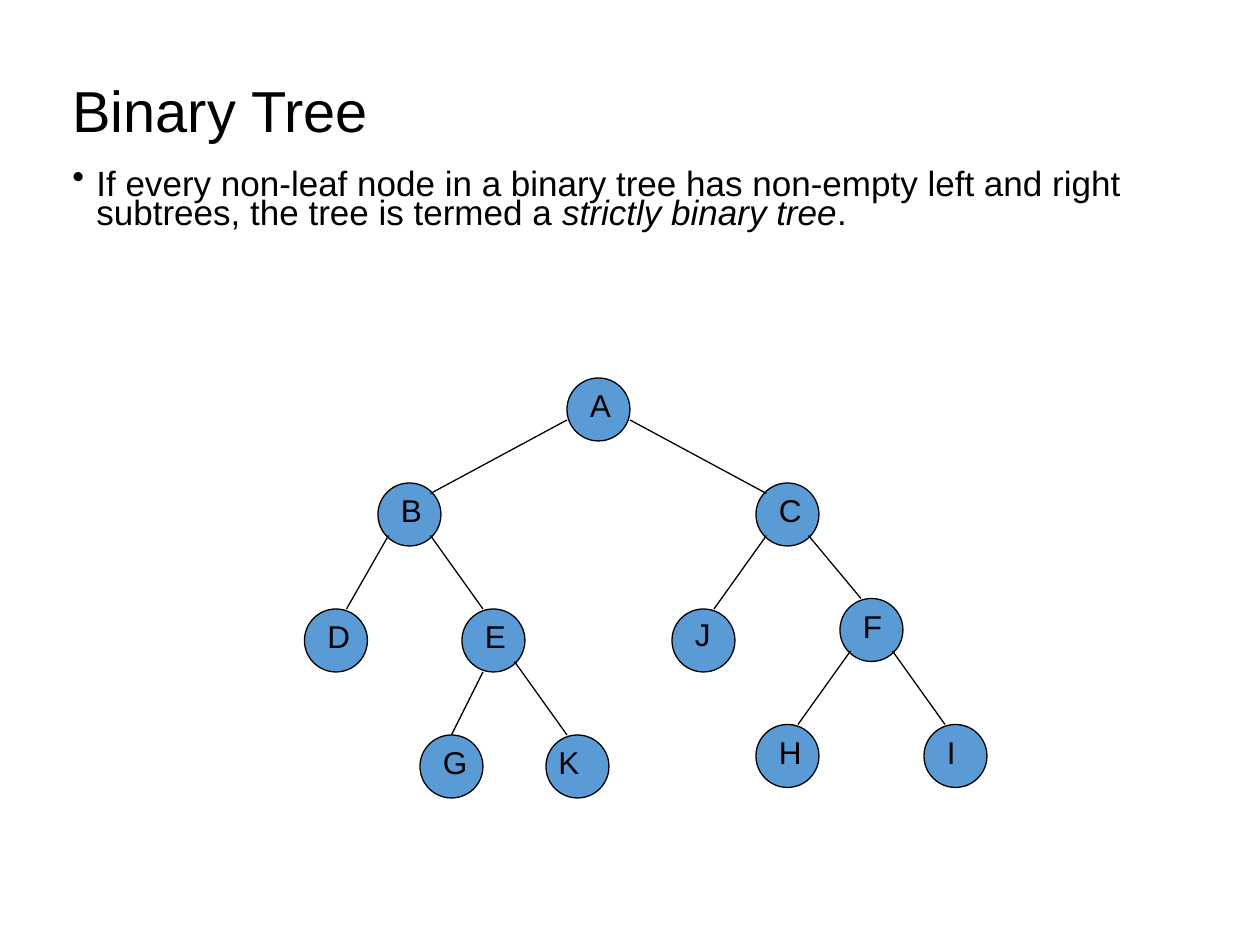
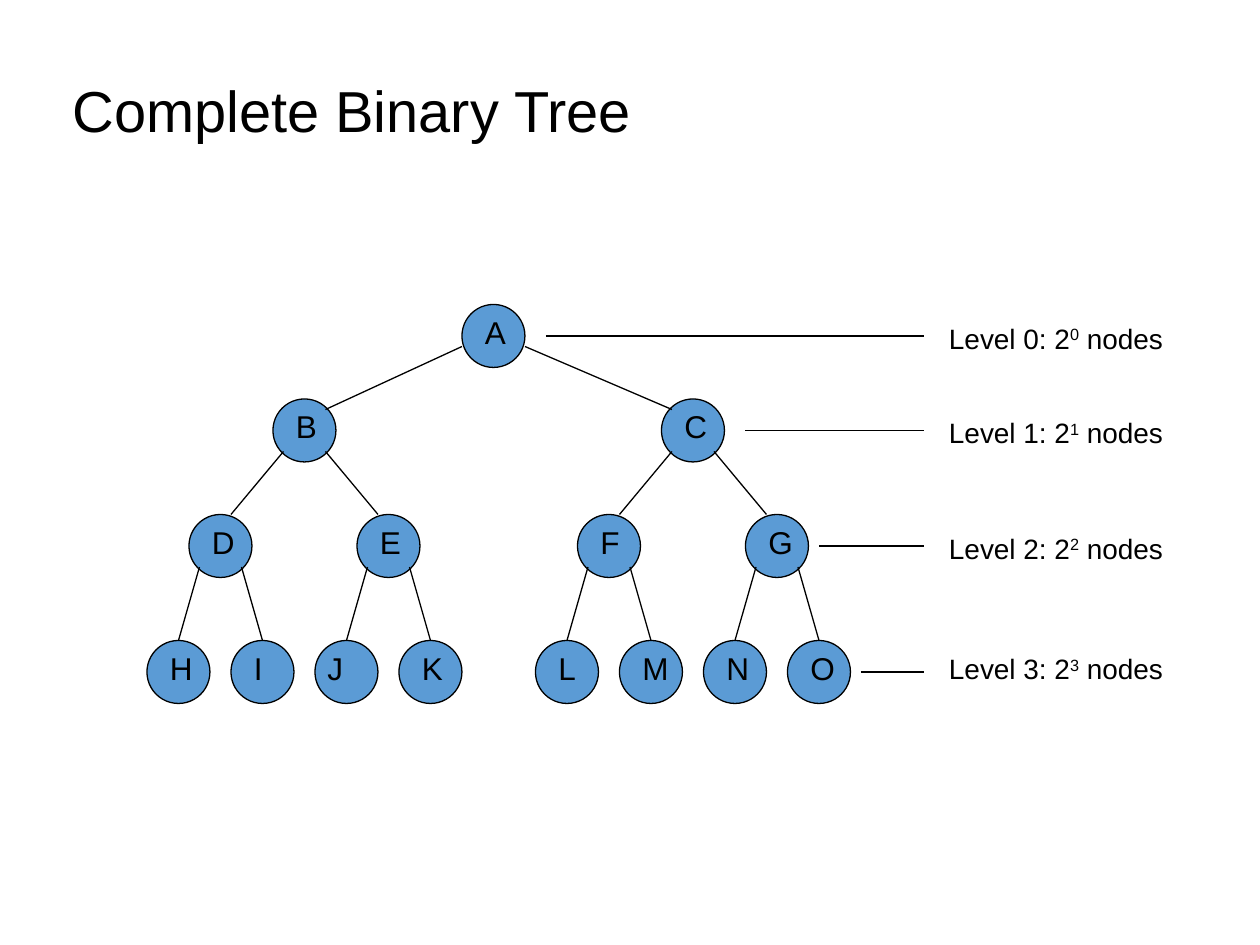
from dataclasses import dataclass

import lxml.etree
import pptx
import pptx.dml.color
import pptx.enum.shapes
import pptx.enum.text
import pptx.oxml.ns
import pptx.util

BLACK = pptx.dml.color.RGBColor(0x00, 0x00, 0x00)
NODE_BLUE = pptx.dml.color.RGBColor(0x5B, 0x9B, 0xD5)
FONT = "Arial"
LINE_WIDTH = pptx.util.Pt(0.75)
SLIDE_WIDTH, SLIDE_HEIGHT = pptx.util.Inches(10), pptx.util.Inches(7.5)

# Grid: 120 columns by 90 rows of equal square cells
CELL = SLIDE_WIDTH // 120
NODE_SIZE = 6
LABEL_DROP = 0.2
LEVEL_LINE_END = 88


@dataclass(frozen=True)
class Node:
    letter: str
    column: float
    row: float
    label_shift: float = 1
    label_drop: float = LABEL_DROP
    label_width: float = 4


@dataclass(frozen=True)
class Reach:
    """Ends of an edge to a left child, in cells from each node's corner."""
    parent_x: float
    parent_y: float
    child_x: float
    child_y: float


@dataclass(frozen=True)
class Edge:
    parent: str
    child: str
    reach: Reach


@dataclass(frozen=True)
class Level:
    line_start: float
    row: float
    label_drop: float = 1


ROOT = Reach(0, 4, 5, 1)
BRANCH = Reach(1, 5, 4, 0)
LEAF = Reach(1, 5, 3, 0)
STEEP = Reach(2, 6, 3, 0)

# Strictly binary tree
STRICT_NODES = [
    Node("A", 54, 36), Node("B", 36, 46), Node("C", 72, 46),
    Node("D", 29, 58, label_width=5), Node("E", 44, 58),
    Node("J", 64, 58, label_drop=0), Node("F", 80, 57),
    Node("G", 40, 70, label_width=5),
    Node("K", 52, 70, label_shift=0, label_width=5),
    Node("H", 72, 69), Node("I", 88, 69, label_width=5),
]
STRICT_EDGES = [
    Edge("A", "B", ROOT), Edge("A", "C", ROOT), Edge("E", "G", STEEP),
    *(Edge(parent, child, BRANCH)
      for parent, child in ("BD", "BE", "CJ", "CF", "EK", "FH", "FI")),
]

# Complete binary tree: node i hangs under node (i - 1) // 2
COMPLETE_LETTERS = "ABCDEFGHIJKLMNO"
LEVEL_ROWS = [29, 38, 49, 61]
LEVEL_SPREADS = [(-18, 19), (-8, 8), (-4, 4)]
LEVEL_REACHES = [ROOT, BRANCH, LEAF]
WIDE_LABELS = {"F": 5, "G": 5, "I": 5, "J": 6, "K": 5, "L": 5, "M": 5, "O": 5}
LEVELS = [Level(52, 29), Level(71, 38), Level(78, 49), Level(82, 61, 0.5)]


def cells(count: float) -> pptx.util.Emu:
    return pptx.util.Emu(round(count * CELL))


def complete_tree() -> tuple[list[Node], list[Edge]]:
    columns = [44]
    nodes, edges = [], []
    for index, letter in enumerate(COMPLETE_LETTERS):
        depth = (index + 1).bit_length() - 1
        if index:
            parent = (index - 1) // 2
            spread = LEVEL_SPREADS[depth - 1][(index - 1) % 2]
            columns.append(columns[parent] + spread)
            edges.append(Edge(COMPLETE_LETTERS[parent], letter,
                              LEVEL_REACHES[depth - 1]))
        nodes.append(Node(letter, columns[index], LEVEL_ROWS[depth],
                          label_shift=0 if letter == "J" else 1,
                          label_width=WIDE_LABELS.get(letter, 4)))
    return nodes, edges


def format_runs(paragraph, size: float) -> None:
    for run in paragraph.runs:
        run.font.name = FONT
        run.font.size = pptx.util.Pt(size)
        run.font.color.rgb = BLACK


def tighten_insets(text_frame) -> None:
    text_frame.margin_left = text_frame.margin_right = pptx.util.Pt(5.4)
    text_frame.margin_top = text_frame.margin_bottom = pptx.util.Pt(2.7)


def add_titled_slide(presentation, title: str):
    slide = presentation.slides.add_slide(presentation.slide_layouts[5])
    shape = slide.shapes.title
    shape.left, shape.top = cells(6), cells(4.8)
    shape.width, shape.height = cells(108), cells(12)
    text_frame = shape.text_frame
    text_frame.text = title
    text_frame.auto_size = pptx.enum.text.MSO_AUTO_SIZE.NONE
    text_frame.vertical_anchor = pptx.enum.text.MSO_ANCHOR.MIDDLE
    tighten_insets(text_frame)
    paragraph = text_frame.paragraphs[0]
    paragraph.alignment = pptx.enum.text.PP_ALIGN.LEFT
    paragraph.line_spacing = 0.9
    format_runs(paragraph, 33)
    return slide


def add_text_box(slide, left: float, top: float, width: float, height: float,
                 wrap: bool = True):
    box = slide.shapes.add_textbox(cells(left), cells(top),
                                   cells(width), cells(height))
    box.text_frame.word_wrap = wrap
    return box.text_frame


def add_definition(slide) -> None:
    text_frame = add_text_box(slide, 6, 16, 108, 7)
    tighten_insets(text_frame)
    paragraph = text_frame.paragraphs[0]
    properties = paragraph._p.get_or_add_pPr()
    indent = pptx.util.Inches(0.19)
    properties.set("marL", str(indent))
    properties.set("indent", str(-indent))
    bullet = lxml.etree.SubElement(properties, pptx.oxml.ns.qn("a:buChar"))
    bullet.set("char", "•")
    paragraph.line_spacing = 0.7
    for text, italic in (
        ("If every non-leaf node in a binary tree has non-empty left and "
         "right subtrees, the tree is termed a ", False),
        ("strictly binary tree", True),
        (".", False),
    ):
        run = paragraph.add_run()
        run.text = text
        run.font.italic = italic
    format_runs(paragraph, 20)


def add_line(slide, start_x: float, start_y: float,
             end_x: float, end_y: float) -> None:
    connector = slide.shapes.add_connector(
        pptx.enum.shapes.MSO_CONNECTOR.STRAIGHT,
        cells(start_x), cells(start_y), cells(end_x), cells(end_y))
    connector.line.color.rgb = BLACK
    connector.line.width = LINE_WIDTH
    lxml.etree.SubElement(connector._element.spPr,
                          pptx.oxml.ns.qn("a:effectLst"))


def add_node(slide, node: Node) -> None:
    circle = slide.shapes.add_shape(
        pptx.enum.shapes.MSO_SHAPE.OVAL, cells(node.column), cells(node.row),
        cells(NODE_SIZE), cells(NODE_SIZE))
    circle.shadow.inherit = False
    circle.fill.solid()
    circle.fill.fore_color.rgb = NODE_BLUE
    circle.line.color.rgb = BLACK
    circle.line.width = LINE_WIDTH

    text_frame = add_text_box(slide, node.column + node.label_shift,
                              node.row + node.label_drop,
                              node.label_width, 4.8)
    text_frame.text = node.letter
    text_frame.auto_size = pptx.enum.text.MSO_AUTO_SIZE.SHAPE_TO_FIT_TEXT
    format_runs(text_frame.paragraphs[0], 18)


def add_edge(slide, parent: Node, child: Node, reach: Reach) -> None:
    parent_x, child_x = reach.parent_x, reach.child_x
    if child.column > parent.column:
        parent_x, child_x = NODE_SIZE - parent_x, NODE_SIZE - child_x
    add_line(slide, parent.column + parent_x, parent.row + reach.parent_y,
             child.column + child_x, child.row + reach.child_y)


def add_tree(slide, nodes: list[Node], edges: list[Edge]) -> None:
    for node in nodes:
        add_node(slide, node)
    by_letter = {node.letter: node for node in nodes}
    for edge in edges:
        add_edge(slide, by_letter[edge.parent], by_letter[edge.child],
                 edge.reach)


def add_level(slide, number: int, level: Level) -> None:
    middle = level.row + NODE_SIZE / 2
    add_line(slide, level.line_start, middle, LEVEL_LINE_END, middle)
    text_frame = add_text_box(slide, 89.2, level.row + level.label_drop,
                              22.8, 4.44, wrap=False)
    text_frame.auto_size = pptx.enum.text.MSO_AUTO_SIZE.SHAPE_TO_FIT_TEXT
    paragraph = text_frame.paragraphs[0]
    for text in (f"Level {number}: 2", str(number), " nodes"):
        paragraph.add_run().text = text
    format_runs(paragraph, 16)
    exponent = paragraph.runs[1]
    exponent.font._element.set("baseline", "30000")


def main() -> None:
    presentation = pptx.Presentation()
    presentation.slide_width = SLIDE_WIDTH
    presentation.slide_height = SLIDE_HEIGHT

    # Strictly binary tree
    slide = add_titled_slide(presentation, "Binary Tree")
    add_definition(slide)
    add_tree(slide, STRICT_NODES, STRICT_EDGES)

    # Complete binary tree with its levels
    slide = add_titled_slide(presentation, "Complete Binary Tree")
    add_tree(slide, *complete_tree())
    for number, level in enumerate(LEVELS):
        add_level(slide, number, level)

    presentation.save("out.pptx")


if __name__ == "__main__":
    main()
